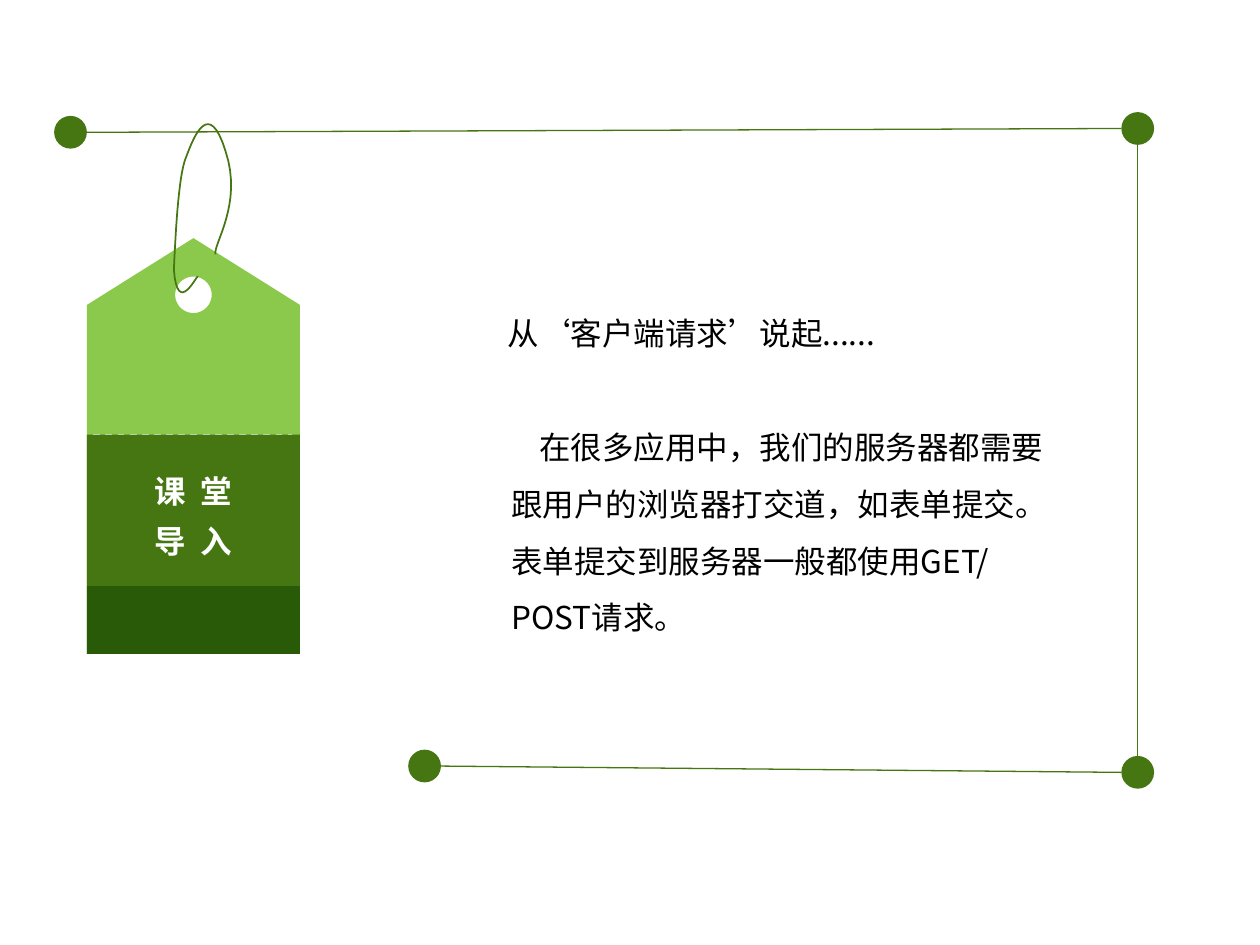
from dataclasses import dataclass
from math import cos, pi, sin

from lxml import etree
from pptx import Presentation
from pptx import util as u
from pptx.dml import color as c
from pptx.enum import dml, shapes, text
from pptx.oxml import ns


@dataclass(frozen=True)
class Theme:
    light: str = "8BC94C"
    green: str = "467612"
    dark: str = "295A07"
    white: str = "FFFFFF"
    black: str = "000000"
    font: str = "Noto Sans CJK SC"
    size: float = 18
    thin: float = 0.75
    cord: float = 1


THEME = Theme()


def rgb(value):
    return c.RGBColor.from_string(value)


def paint(shape, fill):
    shape.shadow.inherit = False
    shape.fill.solid()
    shape.fill.fore_color.rgb = rgb(fill)
    shape.line.fill.background()


def solid(parent, kind, left, top, width, height, fill):
    shape = parent.shapes.add_shape(kind, *map(u.Inches, (left, top, width, height)))
    paint(shape, fill)
    return shape


def rule(parent, x1, y1, x2, y2, colour, width=THEME.thin, dash=None):
    line = parent.shapes.add_connector(
        shapes.MSO_CONNECTOR.STRAIGHT, *map(u.Inches, (x1, y1, x2, y2)))
    line.line.color.rgb = rgb(colour)
    line.line.width = u.Pt(width)
    if dash:
        line.line.dash_style = dash
    etree.SubElement(line._element.spPr, ns.qn("a:effectLst"))


def outline(parent, contours, close):
    contours = [[(u.Inches(x), u.Inches(y)) for x, y in points] for points in contours]
    builder = parent.shapes.build_freeform(*contours[0][0], scale=1.0)
    for number, points in enumerate(contours):
        if number:
            builder.move_to(*points[0])
        builder.add_line_segments(points[1:], close=close)
    return builder.convert_to_shape()


def bezier(start, curves, steps=16):
    points = [start]
    for curve in curves:
        a, b, d, e = points[-1], *curve
        for step in range(1, steps + 1):
            t = step / steps
            s = 1 - t
            points.append(tuple(
                s**3 * a[i] + 3 * s * s * t * b[i] + 3 * s * t * t * d[i] + t**3 * e[i]
                for i in (0, 1)))
    return points


def write(frame, lines, colour, spacing, bold=False, align=None, tracking=0):
    frame.word_wrap = True
    frame.text = "\n".join(lines)
    for para in frame.paragraphs:
        para.line_spacing = spacing
        para.alignment = align
        for span in para.runs:
            span.font.size = u.Pt(THEME.size)
            span.font.name = THEME.font
            span.font.bold = bold
            span.font.color.rgb = rgb(colour)
            props = span._r.get_or_add_rPr()
            etree.SubElement(props, ns.qn("a:ea")).set("typeface", THEME.font)
            if tracking:
                props.set("spc", str(tracking))


def hang_tag(page, left, top, width, height):
    group = page.shapes.add_group_shape()
    right, bottom, middle = left + width, top + height, left + width / 2
    shoulder, label_top, foot_top = top + 0.53, top + 1.56, top + 2.76
    hole_y, radius = top + 0.45, 0.145
    hole = [(middle + radius * cos(n * pi / 24), hole_y - radius * sin(n * pi / 24))
            for n in range(48)]
    body = [(middle, top), (right, shoulder), (right, bottom),
            (left, bottom), (left, shoulder)]
    paint(outline(group, [hole, body], True), THEME.light)

    box = shapes.MSO_SHAPE.RECTANGLE
    solid(group, box, left, foot_top, width, bottom - foot_top, THEME.dark)
    rule(group, left, foot_top, right, foot_top, THEME.white)
    rule(group, left + 0.05, label_top, right - 0.06, label_top, THEME.white,
         THEME.cord, dml.MSO_LINE.DASH)
    label = solid(group, box, left, label_top, width, foot_top - label_top, THEME.green)
    frame = label.text_frame
    frame.margin_left = frame.margin_right = u.Inches(0.06)
    frame.vertical_anchor = text.MSO_ANCHOR.MIDDLE
    write(frame, ["课 堂", "导 入"], THEME.white, 1.3, True, text.PP_ALIGN.CENTER, 200)

    loop = [[(0.88, 0.27), (0.72, 0.64), (0.69, 0.25)],
            [(0.7, 0.07), (0.72, -0.5), (0.79, -0.65)],
            [(0.85, -0.81), (0.97, -1.11), (1.1, -0.69)],
            [(1.24, -0.27), (1, 0.05), (1.02, 0.13)]]
    curves = [[(left + x, top + y) for x, y in curve] for curve in loop]
    cord = outline(group, [bezier((left + 0.88, top + 0.31), curves)], False)
    cord.shadow.inherit = False
    cord.fill.background()
    cord.line.color.rgb = rgb(THEME.green)
    cord.line.width = u.Pt(THEME.cord)


def dotted_frame(page, left, top, width, height):
    dot = 0.26
    half = dot / 2
    right, bottom = left + width, top + height
    start, corner = (left, top + 0.03), (right, top)
    tail, end = (left + 2.81, bottom - 0.05), (right, bottom)
    for x, y in (start, corner, tail, end):
        solid(page, shapes.MSO_SHAPE.OVAL, x - half, y - half, dot, dot, THEME.green)
    for (x1, y1), (x2, y2) in ((start, corner), (tail, end)):
        rule(page, x1 + half, y1, x2 - half, y2, THEME.green)
    rule(page, right, top + 0.1, right, bottom - 0.05, THEME.green)


def passage(page, left, top, width, height, lines, spacing, indent=0):
    box = page.shapes.add_textbox(*map(u.Inches, (left, top, width, height)))
    write(box.text_frame, lines, THEME.black, spacing)
    if indent:
        props = box.text_frame.paragraphs[0]._p.get_or_add_pPr()
        props.set("indent", str(u.Inches(indent)))


deck = Presentation()
deck.slide_width, deck.slide_height = u.Inches(10), u.Inches(7.5)
page = deck.slides.add_slide(deck.slide_layouts[6])
hang_tag(page, 0.69, 1.89, 1.69, 3.3)
dotted_frame(page, 0.56, 1.02, 8.47, 5.11)
passage(page, 3.96, 3.2, 4.58, 1.92, [
    "在很多应用中，我们的服务器都需要跟用户的浏览器打交道，如表单提交。",
    "表单提交到服务器一般都使用GET/POST请求。"], 1.5, 0.22)
passage(page, 3.93, 2.14, 4.58, 0.6, ["从‘客户端请求’说起......"], 2)
deck.save("out.pptx")
